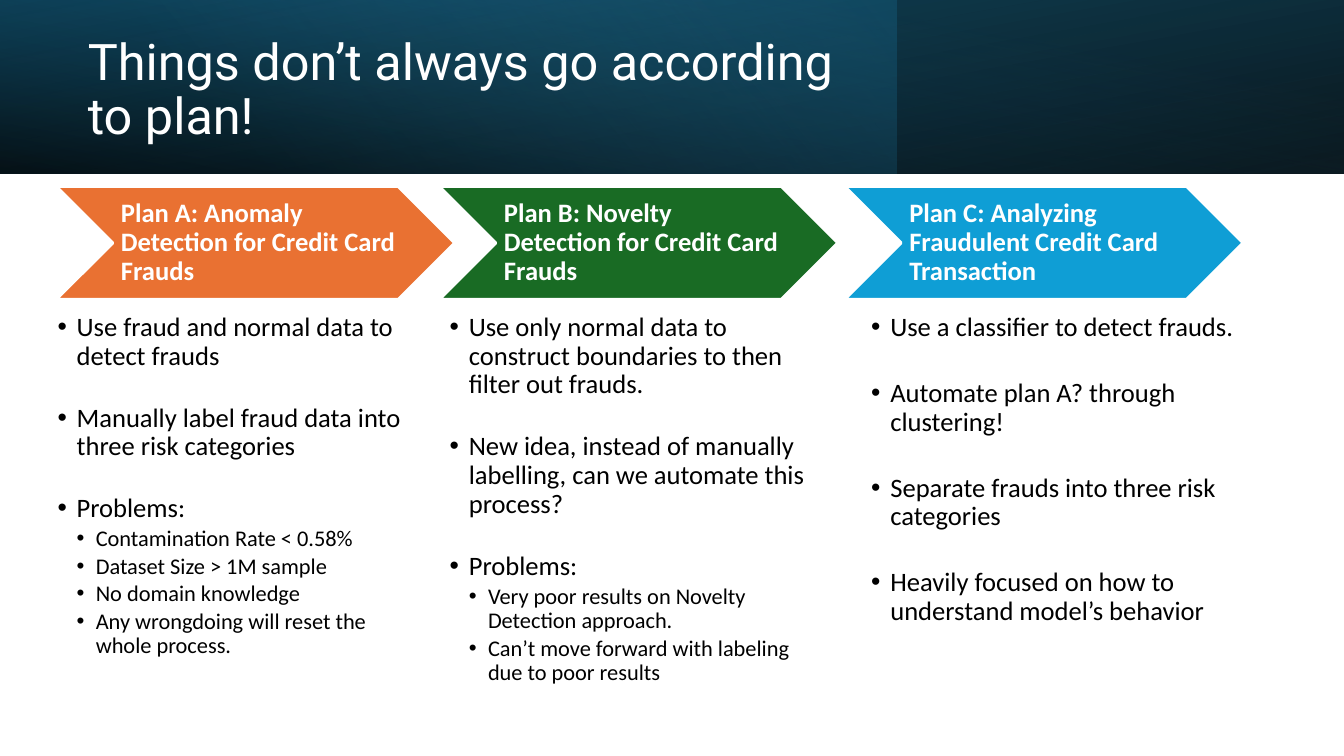
"""Build a slide that compares three plans under a shaded title band."""
import dataclasses

import lxml.etree
import pptx
import pptx.dml.color
import pptx.enum.shapes
import pptx.enum.text
import pptx.oxml.ns
import pptx.util

WIDE = pptx.util.Inches(13.33)
HIGH = pptx.util.Inches(7.5)
COL = WIDE / 100
ROW = HIGH / 100
BAND = 22.93
SHAPE = pptx.enum.shapes.MSO_SHAPE
ANCHOR = pptx.enum.text.MSO_ANCHOR


@dataclasses.dataclass(frozen=True)
class Theme:
    """Colours, fonts and type sizes."""
    white: str = "FFFFFF"
    black: str = "000000"
    teal: str = "156082"
    deep: str = "104862"
    sky: str = "46B1E1"
    plans: tuple = ("E97132", "196B24", "0F9ED5")
    head: str = "Roboto"
    body: str = "Calibri"
    title: int = 36
    text: int = 19
    small: int = 16


THEME = Theme()

PLANS = (
    ("Plan A: Anomaly Detection for Credit Card Frauds", 4.2, 4.28, 26.4, 23.7,
     ("Use fraud and normal data to detect frauds",
      "Manually label fraud data into three risk categories",
      "Problems:"),
     ("Contamination Rate < 0.58%",
      "Dataset Size > 1M sample",
      "No domain knowledge",
      "Any wrongdoing will reset the whole process.")),
    ("Plan B: Novelty Detection for Credit Card Frauds", 32.7, 33.46, 26.86, 23.7,
     ("Use only normal data to construct boundaries to then filter out frauds.",
      "New idea, instead of manually labelling, can we automate this process?",
      "Problems:"),
     ("Very poor results on Novelty Detection approach.",
      "Can’t move forward with labeling due to poor results")),
    ("Plan C: Analyzing Fraudulent Credit Card Transaction", 62.86, 64.82, 30.15, 26.6,
     ("Use a classifier to detect frauds.",
      "Automate plan A? through clustering!",
      "Separate frauds into three risk categories",
      "Heavily focused on how to understand model’s behavior"),
     ()),
)


def rgb(code):
    """Turn a hex code into a colour."""
    return pptx.dml.color.RGBColor.from_string(code)


def grid(left, top, wide, high):
    """Turn columns and rows into slide lengths."""
    return int(left * COL), int(top * ROW), int(wide * COL), int(high * ROW)


def place(item, *cells):
    """Move an item to its place on the grid."""
    item.left, item.top, item.width, item.height = grid(*cells)


def inset(frame, left=0, rest=0):
    """Set the inner margins of a text frame."""
    frame.margin_left = pptx.util.Inches(left)
    frame.margin_top = frame.margin_right = frame.margin_bottom = pptx.util.Inches(rest)


def style(para, size, font, code, bold=False, after=0):
    """Format a paragraph and its runs."""
    para.alignment = pptx.enum.text.PP_ALIGN.LEFT
    para.line_spacing = 0.9
    para.space_before = pptx.util.Pt(0)
    para.space_after = pptx.util.Pt(after)
    for run in para.runs:
        run.font.size = pptx.util.Pt(size)
        run.font.name = font
        run.font.bold = bold
        run.font.color.rgb = rgb(code)


def bullet(para, level):
    """Give a paragraph a hanging bullet."""
    para.level = level
    step = pptx.util.Inches(0.19)
    props = para._p.get_or_add_pPr()
    props.set("marL", str(step * (level + 1)))
    props.set("indent", str(-step))
    mark = lxml.etree.SubElement(props, pptx.oxml.ns.qn("a:buChar"))
    mark.set("char", "•")


def band(slide, wide, angle, stops, flips=()):
    """Draw a see-through gradient band along the top."""
    shape = slide.shapes.add_shape(SHAPE.RECTANGLE, *grid(0, 0, wide, BAND))
    shape.shadow.inherit = False
    shape.line.fill.background()
    shape.fill.gradient()
    shape.fill.gradient_angle = 360 - angle
    for stop, (spot, code, share) in zip(shape.fill.gradient_stops, stops):
        stop.position = spot / 100
        stop.color.rgb = rgb(code)
    tones = shape.element.spPr.iter(pptx.oxml.ns.qn("a:srgbClr"))
    for tone, (spot, code, share) in zip(list(tones), stops):
        alpha = lxml.etree.SubElement(tone, pptx.oxml.ns.qn("a:alpha"))
        alpha.set("val", str(share * 1000))
    for flip in flips:
        shape.element.spPr.find(pptx.oxml.ns.qn("a:xfrm")).set(flip, "1")


def header(slide):
    """Draw the bands and set the title over them."""
    band(slide, 100, 100, ((0, THEME.black, 96), (100, THEME.deep, 100)), ("flipV",))
    band(slide, 66.7, 140, ((0, THEME.teal, 41), (74, THEME.sky, 0)))
    band(slide, 100, 260, ((0, THEME.black, 63), (78, THEME.teal, 15)), ("flipH",))
    title = slide.shapes.title
    slide.shapes.element.append(title.element)
    place(title, 5.78, 3.6, 60.9, 16.93)
    frame = title.text_frame
    frame.text = "Things don’t always go according to plan!"
    frame.word_wrap = True
    frame.auto_size = pptx.enum.text.MSO_AUTO_SIZE.NONE
    frame.vertical_anchor = ANCHOR.MIDDLE
    style(frame.paragraphs[0], THEME.title, THEME.head, THEME.white)


def arrow(slide, left, text, code):
    """Draw a chevron that names a plan."""
    shape = slide.shapes.add_shape(SHAPE.CHEVRON, *grid(left, 24.67, 29.63, 14.93))
    shape.shadow.inherit = False
    shape.fill.solid()
    shape.fill.fore_color.rgb = rgb(code)
    shape.line.color.rgb = rgb(THEME.white)
    shape.line.width = pptx.util.Pt(2)
    frame = shape.text_frame
    frame.text = text
    frame.word_wrap = True
    frame.vertical_anchor = ANCHOR.MIDDLE
    inset(frame, 0.08, 0.03)
    style(frame.paragraphs[0], THEME.text, THEME.body, THEME.white, bold=True)


def points(holder, left, wide, gap, main_points, sub_points):
    """Fill a body placeholder with a two-level list."""
    place(holder, left, 41.47, wide, 58.5)
    frame = holder.text_frame
    frame.text = "\n".join(main_points + sub_points)
    frame.word_wrap = True
    frame.auto_size = pptx.enum.text.MSO_AUTO_SIZE.NONE
    frame.vertical_anchor = ANCHOR.TOP
    inset(frame)
    for spot, para in enumerate(frame.paragraphs):
        level = int(spot >= len(main_points))
        size = THEME.small if level else THEME.text
        after = gap if spot < len(main_points) - 1 else size * 0.15
        bullet(para, level)
        style(para, size, THEME.body, THEME.black, after=after)


def main():
    """Build and save the slide."""
    deck = pptx.Presentation()
    deck.slide_width, deck.slide_height = WIDE, HIGH
    slide = deck.slides.add_slide(deck.slide_layouts.get_by_name("Comparison"))
    header(slide)
    bodies = [item for item in slide.placeholders if item.placeholder_format.idx > 0]
    for holder, plan, code in zip(bodies, PLANS, THEME.plans):
        name, start, left, wide, gap, main_points, sub_points = plan
        arrow(slide, start, name, code)
        points(holder, left, wide, gap, main_points, sub_points)
    for spare in bodies[len(PLANS):]:
        spare.element.getparent().remove(spare.element)
    deck.save("out.pptx")


if __name__ == "__main__":
    main()
